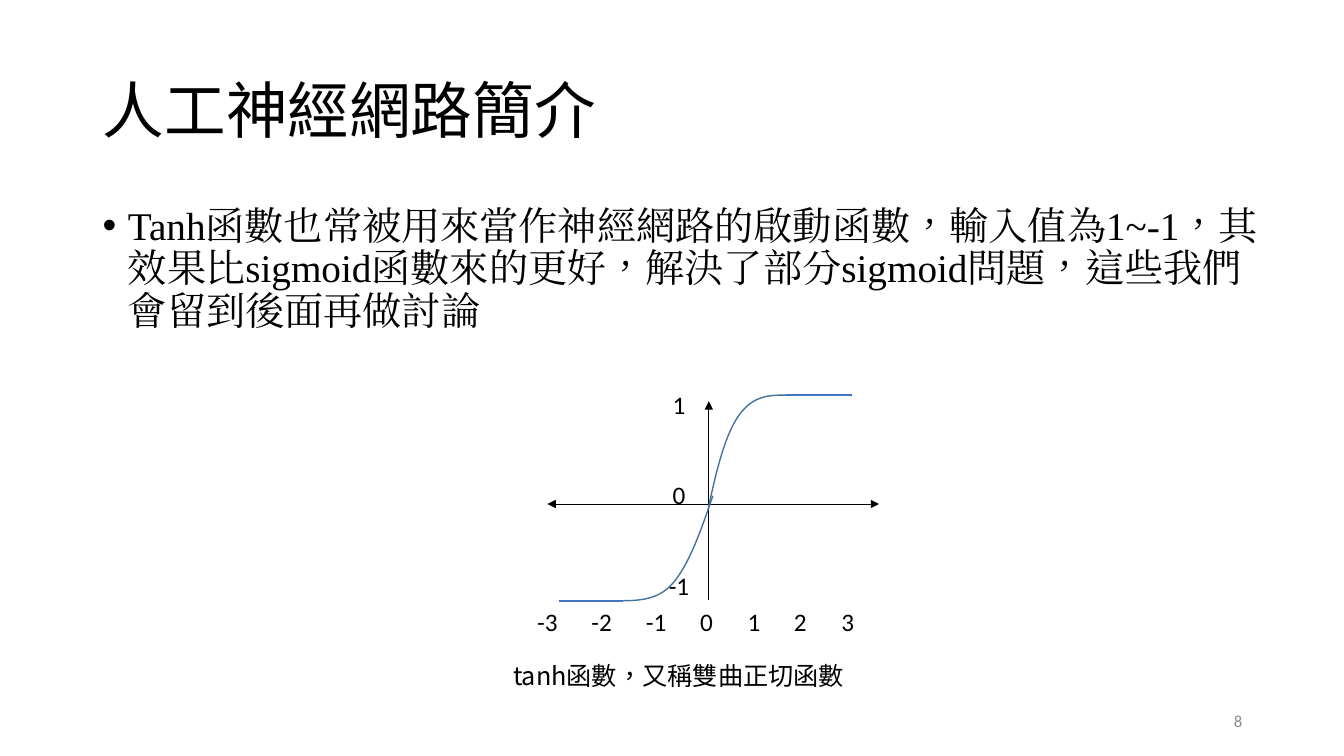
import pptx
import pptx.util
import pptx.dml.color
import pptx.enum.lang
import pptx.enum.shapes
import pptx.enum.text
import pptx.oxml
import pptx.oxml.ns
from dataclasses import dataclass

Inches, Pt = pptx.util.Inches, pptx.util.Pt
ALIGN = pptx.enum.text.PP_ALIGN
ANCHOR = pptx.enum.text.MSO_ANCHOR

# Content
TITLE = "人工神經網路簡介"
BODY = ("Tanh函數也常被用來當作神經網路的啟動函數，輸入值為1~-1，"
        "其效果比sigmoid函數來的更好，解決了部分sigmoid問題，這些我們會留到後面再做討論")
CAPTION = "tanh函數，又稱雙曲正切函數"
PAGE = "8"
X_LABELS = ["-3", "-2", "-1", "0", "1", "2", "3"]
X_TABS = [0.64, 1.18, 1.68, 2.15, 2.61, 3.08]  # label centres after the first
Y_LABELS = ["1", "0", "-1"]

# Plot geometry in inches
AXES = [((7.03, 5.95), (7.03, 3.98)),
        ((7.03, 5), (8.72, 5)),
        ((7.03, 5), (5.43, 5))]
PLATEAUS = [((7.8, 3.92), (8.45, 3.92)), ((5.54, 5.96), (6.18, 5.96))]
UPPER_CURVE = [((6.84, 6.08), (6.96, 5.36), (7.08, 4.64), (7.24, 4.28)),
               ((7.24, 4.28), (7.4, 3.92), (7.6, 3.92), (7.8, 3.92))]
LOWER_CURVE = [((7.07, 4.92), (6.95, 5.27), (6.83, 5.61), (6.67, 5.79)),
               ((6.67, 5.79), (6.52, 5.96), (6.32, 5.96), (6.12, 5.96))]
UPPER_LOWEST = 5.11  # the upper curve is drawn above this height


@dataclass(frozen=True)
class Theme:
    black: str = "000000"
    grey: str = "8C8C8C"
    curve: str = "43739E"
    plateau: str = "4472C4"
    cjk: str = "Noto Sans CJK SC"
    serif: str = "Times New Roman"
    sans: str = "Calibri"
    title: int = 44
    body: int = 28
    label: int = 18
    page: int = 12


THEME = Theme()


def rgb(value):
    return pptx.dml.color.RGBColor.from_string(value)


def xml(tag, attributes):
    return pptx.oxml.parse_xml(
        f'<a:{tag} {pptx.oxml.ns.nsdecls("a")} {attributes}/>')


def write(paragraph, text, size, face, color=THEME.black):
    run = paragraph.add_run()
    run.text = text
    font = run.font
    font.size, font.name = Pt(size), face
    font.color.rgb = rgb(color)
    font.language_id = pptx.enum.lang.MSO_LANGUAGE_ID.TRADITIONAL_CHINESE
    run._r.get_or_add_rPr().find(pptx.oxml.ns.qn("a:latin")).addnext(
        xml("ea", f'typeface="{face}"'))


def text_frame(slide, left, top, width, height, anchor=ANCHOR.TOP):
    frame = slide.shapes.add_textbox(
        Inches(left), Inches(top), Inches(width), Inches(height)).text_frame
    frame.word_wrap = True
    frame.vertical_anchor = anchor
    return frame


def draw_line(slide, start, end, color, width, arrow=False):
    line = slide.shapes.add_connector(
        pptx.enum.shapes.MSO_CONNECTOR.STRAIGHT,
        *(Inches(value) for value in start + end))
    line.line.color.rgb = rgb(color)
    line.line.width = Pt(width)
    if arrow:
        line.line._get_or_add_ln().append(xml("tailEnd", 'type="triangle"'))
    line._element.spPr.append(xml("effectLst", ""))


def bezier_points(segments, steps=24):
    points = []
    for a, b, c, d in segments:
        for step in range(steps + 1):
            t = step / steps
            u = 1 - t
            points.append(tuple(
                u**3 * a[i] + 3 * u * u * t * b[i] + 3 * u * t * t * c[i] + t**3 * d[i]
                for i in (0, 1)))
    return points


def draw_curve(slide, points):
    builder = slide.shapes.build_freeform(
        Inches(points[0][0]), Inches(points[0][1]))
    builder.add_line_segments(
        [(Inches(x), Inches(y)) for x, y in points[1:]], close=False)
    curve = builder.convert_to_shape()
    curve.shadow.inherit = False
    curve.fill.background()
    curve.line.color.rgb = rgb(THEME.curve)
    curve.line.width = Pt(1)


def main():
    deck = pptx.Presentation()
    deck.slide_width, deck.slide_height = Inches(13.33), Inches(7.5)
    slide = deck.slides.add_slide(deck.slide_layouts[5])

    # Title
    title = slide.shapes.title
    title.left, title.top = Inches(0.92), Inches(0.4)
    title.width, title.height = Inches(11.5), Inches(1.45)
    title.text_frame.auto_size = pptx.enum.text.MSO_AUTO_SIZE.NONE
    title.text_frame.vertical_anchor = ANCHOR.MIDDLE
    heading = title.text_frame.paragraphs[0]
    heading.alignment, heading.line_spacing = ALIGN.LEFT, 0.9
    write(heading, TITLE, THEME.title, THEME.cjk)

    # Bulleted explanation
    bullet = text_frame(slide, 0.92, 2, 11.78, 1.5).paragraphs[0]
    bullet.line_spacing = 0.9
    properties = bullet._p.get_or_add_pPr()
    properties.set("marL", str(Inches(0.25)))
    properties.set("indent", str(-Inches(0.25)))
    properties.append(xml("buFont", 'typeface="Arial"'))
    properties.append(xml("buChar", 'char="•"'))
    write(bullet, BODY, THEME.body, THEME.serif)

    # Page number
    page = text_frame(slide, 9.42, 6.95, 3, 0.4, ANCHOR.MIDDLE).paragraphs[0]
    page.alignment = ALIGN.RIGHT
    write(page, PAGE, THEME.page, THEME.sans, THEME.grey)

    # Axes
    for start, end in AXES:
        draw_line(slide, start, end, THEME.black, 0.5, arrow=True)

    # Axis labels
    x_axis = text_frame(slide, 5.23, 5.97, 3.66, 0.4).paragraphs[0]
    tabs = xml("tabLst", "")
    for centre in X_TABS:
        tabs.append(xml("tab", f'pos="{Inches(centre)}" algn="ctr"'))
    x_axis._p.get_or_add_pPr().append(tabs)
    write(x_axis, "\t".join(X_LABELS), THEME.label, THEME.sans)

    y_axis = text_frame(slide, 6.42, 3.81, 0.63, 2.22)
    for index, label in enumerate(Y_LABELS):
        tick = y_axis.add_paragraph() if index else y_axis.paragraphs[0]
        tick.alignment = ALIGN.CENTER
        if index:
            tick.space_before = Pt(43)
        write(tick, label, THEME.label, THEME.sans)

    # Caption
    caption = text_frame(slide, 4.99, 6.5, 3.73, 0.4).paragraphs[0]
    write(caption, CAPTION, THEME.label, THEME.cjk)

    # Tanh curve
    draw_curve(slide, [point for point in bezier_points(UPPER_CURVE)
                       if point[1] <= UPPER_LOWEST])
    draw_curve(slide, bezier_points(LOWER_CURVE))
    for start, end in PLATEAUS:
        draw_line(slide, start, end, THEME.plateau, 1.5)

    deck.save("out.pptx")


if __name__ == "__main__":
    main()
